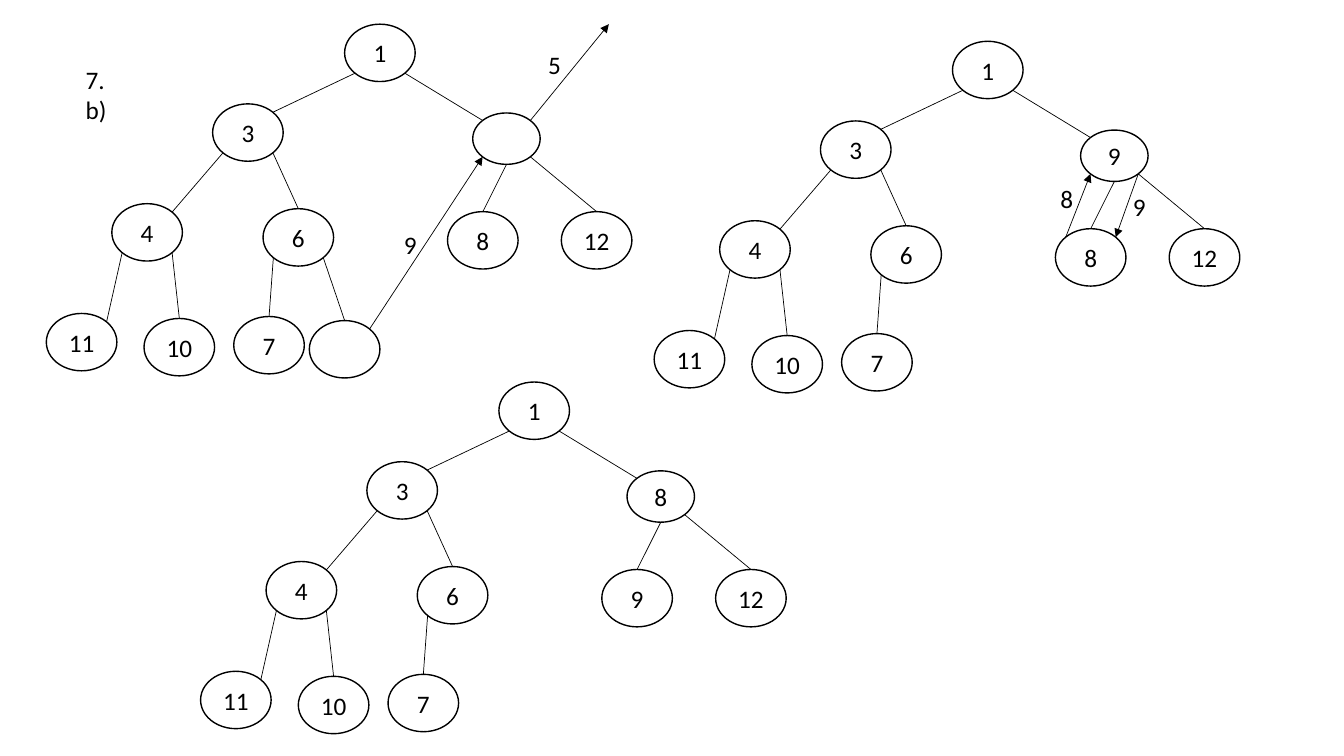
import pptx
import pptx.util
import pptx.dml.color
import pptx.enum.shapes
import pptx.enum.text
import pptx.oxml
import pptx.oxml.ns
from dataclasses import dataclass

Pt = pptx.util.Pt
Align = pptx.enum.text.PP_ALIGN
Anchor = pptx.enum.text.MSO_ANCHOR


@dataclass(frozen=True)
class Theme:
    ink: str = "000000"
    paper: str = "FFFFFF"
    font: str = "Calibri"
    size: float = 18
    rim: float = 1
    edge: float = 0.5


THEME = Theme()

# Node places inside a tree box: left, top
WIDE, SMALL = (50.4, 41), (48.2, 36.7)
SPOTS = {
    "root": (213.1, 0), "left": (118.8, 56.9), "right": (304.6, 63.4),
    "ll": (46.8, 128.2), "lr": (154.8, 131.8),
    "rl": (286.6, 133.9), "rr": (367.9, 133.9),
    "lll": (0, 206.6), "llr": (69.8, 210.2),
    "lrl": (133.9, 208.8), "lrr": (187.9, 211.7),
}
# Points on an ellipse, as shares of its width and height
LOW, HIGH = 0.146, 0.854
SITES = {"top": (0.5, 0), "foot": (0.5, 1), "nw": (LOW, LOW),
         "ne": (HIGH, LOW), "sw": (LOW, HIGH), "se": (HIGH, HIGH)}
# Parent, its site, child, its site
EDGES = [
    ("root", "sw", "left", "ne"), ("root", "se", "right", "nw"),
    ("left", "sw", "ll", "ne"), ("left", "se", "lr", "top"),
    ("right", "foot", "rl", "top"), ("right", "se", "rr", "top"),
    ("ll", "sw", "lll", "ne"), ("ll", "se", "llr", "top"),
    ("lr", "sw", "lrl", "top"), ("lr", "se", "lrr", "top"),
]
BASE = {"root": "1", "left": "3", "ll": "4", "lr": "6", "rr": "12",
        "lll": "11", "llr": "10", "lrl": "7"}


def paint(obj, form):
    for key, val in form.items():
        setattr(obj, key, val)


def rgb(code):
    return pptx.dml.color.RGBColor.from_string(code)


def write(shape, text, align, form):
    frame = shape.text_frame
    paint(frame, {"word_wrap": True, **form})
    par = frame.paragraphs[0]
    par.alignment = align
    run = par.add_run()
    run.text = text
    paint(run.font, {"name": THEME.font, "size": Pt(THEME.size)})
    run.font.color.rgb = rgb(THEME.ink)


def site(box, node, name):
    x, y = SPOTS[node]
    w, h = SMALL if node == "right" else WIDE
    fx, fy = SITES[name]
    return box[0] + x + w * fx, box[1] + y + h * fy


def draw_node(slide, box, node, text):
    x, y = SPOTS[node]
    w, h = SMALL if node == "right" else WIDE
    oval = slide.shapes.add_shape(
        pptx.enum.shapes.MSO_SHAPE.OVAL,
        Pt(box[0] + x), Pt(box[1] + y), Pt(w), Pt(h))
    oval.shadow.inherit = False
    oval.fill.solid()
    oval.fill.fore_color.rgb = rgb(THEME.paper)
    oval.line.color.rgb = rgb(THEME.ink)
    oval.line.width = Pt(THEME.rim)
    if text:
        write(oval, text, Align.CENTER, {
            "vertical_anchor": Anchor.MIDDLE,
            "margin_left": 0, "margin_right": 0})


def draw_line(slide, start, end, arrow=False):
    link = slide.shapes.add_connector(
        pptx.enum.shapes.MSO_CONNECTOR.STRAIGHT,
        *(Pt(v) for v in (*start, *end)))
    link.line.color.rgb = rgb(THEME.ink)
    link.line.width = Pt(THEME.edge)
    props = link._element.spPr
    if arrow:
        tail = pptx.oxml.ns.qn("a:tailEnd")
        link.line._get_or_add_ln().makeelement  # line element exists
        head = pptx.oxml.parse_xml(
            f'<a:tailEnd {pptx.oxml.ns.nsdecls("a")} type="triangle"/>')
        if props.ln.find(tail) is None:
            props.ln.append(head)
    props.append(pptx.oxml.parse_xml(
        f'<a:effectLst {pptx.oxml.ns.nsdecls("a")}/>'))


def draw_tree(slide, box, nodes, arrows=(), notes=()):
    """Place one heap in the box whose left and top are given."""
    for node, text in nodes.items():
        draw_node(slide, box, node, text)
    for up, out, down, into in EDGES:
        if down in nodes:
            draw_line(slide, site(box, up, out), site(box, down, into))
    # Moves between nodes
    for up, out, down, into in arrows:
        draw_line(slide, site(box, up, out), site(box, down, into), True)
    # Values being moved
    for text, x, y in notes:
        note = slide.shapes.add_textbox(
            Pt(box[0] + x), Pt(box[1] + y), Pt(33.1), Pt(28.8))
        write(note, text, Align.LEFT, {})


def draw_title(slide, box, text):
    title = slide.shapes.title
    paint(title, dict(zip(("left", "top", "width", "height"), map(Pt, box))))
    write(title, text, Align.LEFT, {
        "vertical_anchor": Anchor.TOP,
        "auto_size": pptx.enum.text.MSO_AUTO_SIZE.NONE})


def main():
    deck = pptx.Presentation()
    paint(deck, {"slide_width": Pt(960), "slide_height": Pt(540)})
    slide = deck.slides.add_slide(deck.slide_layouts[5])
    draw_title(slide, (54, 42.5, 38.9, 51.1), "7. b)")

    # Minimum leaves, the last leaf fills the gap
    first = (33.1, 17.3)
    draw_tree(slide, first, {**BASE, "right": "", "rl": "8", "lrr": ""},
              [("lrr", "ne", "right", "sw")],
              [("9", 248.4, 143.3), ("5", 351.4, 14.4)])
    draw_line(slide, site(first, "right", "ne"),
              (first[0] + 401.8, first[1]), True)

    # Swap with the smaller child
    draw_tree(slide, (467.3, 29.5), {**BASE, "right": "9", "rl": "8"},
              [("rl", "nw", "right", "sw"), ("right", "se", "rl", "ne")],
              [("9", 334.8, 103.7), ("8", 283, 97.9)])

    # Heap order restored
    draw_tree(slide, (143.3, 272.9), {**BASE, "right": "8", "rl": "9"})
    deck.save("out.pptx")


if __name__ == "__main__":
    main()
